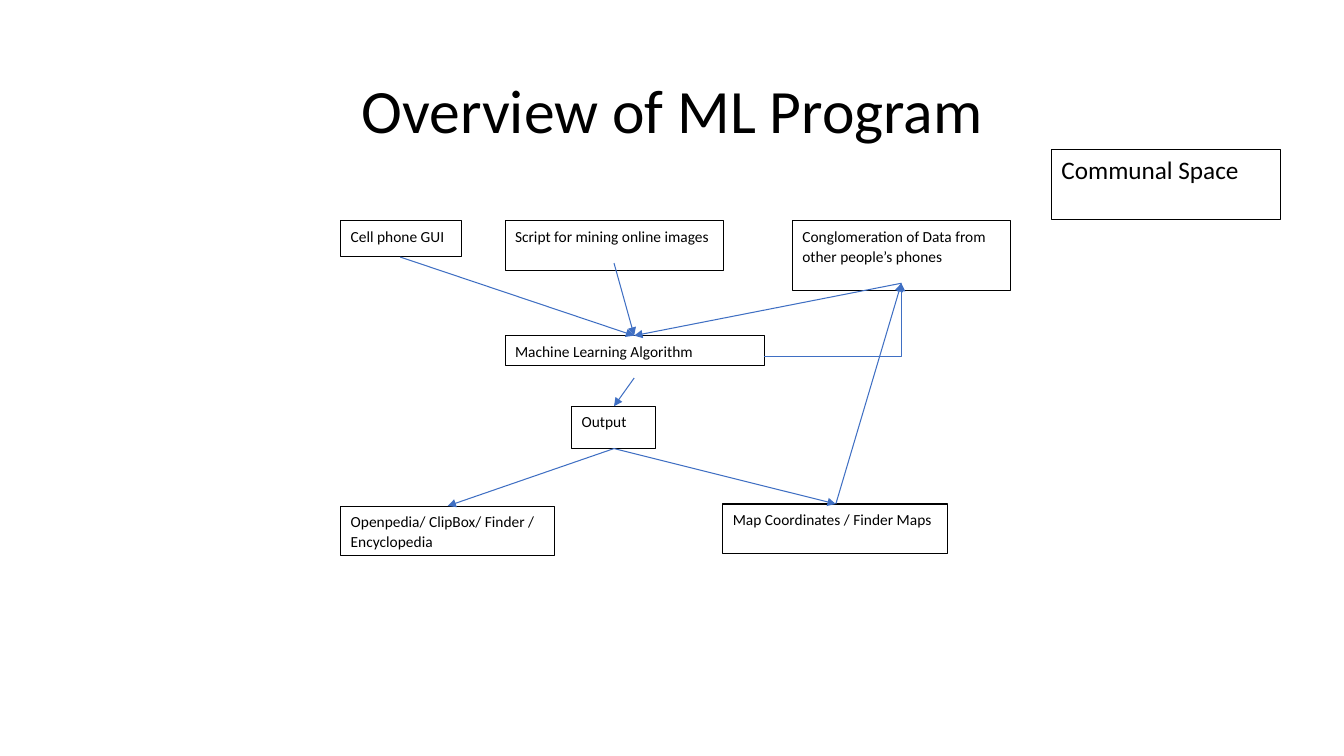
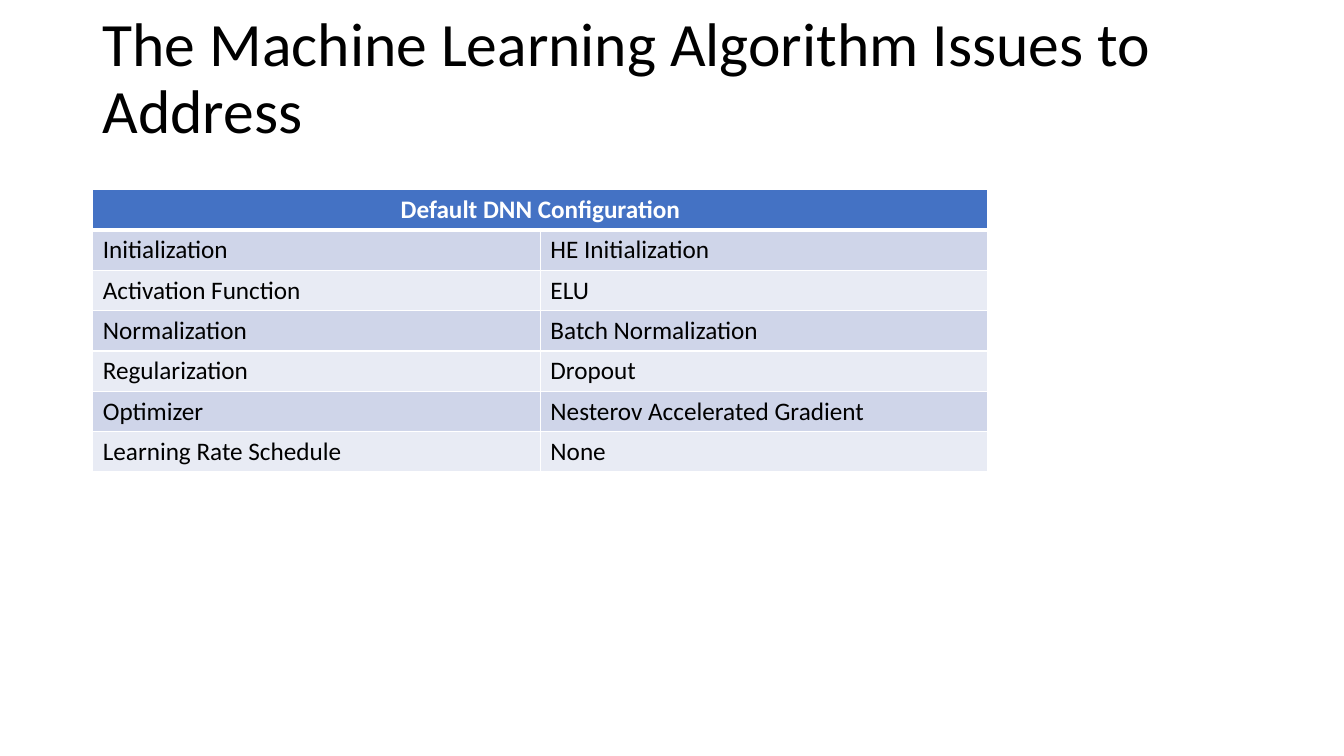
from lxml import etree
from pptx import Presentation
from pptx import util as u
from pptx.dml.color import RGBColor
from pptx.enum import shapes, text
from pptx.oxml.ns import qn

BLACK, WHITE, BLUE, HEAD = "000000", "FFFFFF", "3F6FC3", "4472C4"
BANDS = ["CFD5E9", "E8EBF4"]
LEFT, MID = text.PP_ALIGN.LEFT, text.PP_ALIGN.CENTER
TITLE = [u.Inches(v) for v in (0.92, 0.4, 11.5, 1.45)]


def rgb(code):
    return RGBColor.from_string(code)


def write(frame, words, size=18, color=BLACK, bold=False, align=LEFT,
          space=1.0, after=0, anchor=text.MSO_ANCHOR.TOP):
    frame.word_wrap = True
    frame.vertical_anchor = anchor
    par = frame.paragraphs[0]
    par.alignment = align
    par.line_spacing = space
    par.space_after = u.Pt(after)
    run = par.add_run()
    run.text = words
    run.font.name = "Calibri"
    run.font.size = u.Pt(size)
    run.font.bold = bold
    run.font.color.rgb = rgb(color)


deck = Presentation()
deck.slide_width, deck.slide_height = u.Inches(13.33), u.Inches(7.5)
frames = []
for words, align in [
    ("Overview of ML Program", MID),
    ("The Machine Learning Algorithm Issues to Address", LEFT),
]:
    slide = deck.slides.add_slide(deck.slide_layouts[6])
    frame = slide.shapes.add_textbox(*TITLE).text_frame
    write(frame, words, size=44, align=align, space=0.9,
          anchor=text.MSO_ANCHOR.MIDDLE)
    frames.append(frame)
frames[1].margin_bottom = u.Inches(0.71)
flow, setup = deck.slides

small = dict(size=11, space=1.07, after=8)
boxes = [
    ("Cell phone GUI", 3.38, 2.19, 1.2, 0.36, small),
    ("Script for mining online images", 5.01, 2.19, 2.17, 0.49, small),
    ("Conglomeration of Data from other people’s phones",
     7.86, 2.19, 2.16, 0.69, small),
    ("Machine Learning Algorithm", 5.01, 3.33, 2.57, 0.3, small),
    ("Output", 5.67, 4.03, 0.83, 0.42, small),
    ("Openpedia/ ClipBox/ Finder / Encyclopedia",
     3.38, 5.02, 2.12, 0.49, small),
    ("Map Coordinates / Finder Maps", 7.17, 5, 2.23, 0.49, small),
    ("Communal Space", 10.43, 1.48, 2.27, 0.7, {}),
]
for words, x, y, w, h, style in boxes:
    box = flow.shapes.add_shape(
        shapes.MSO_SHAPE.RECTANGLE, *[u.Inches(v) for v in (x, y, w, h)])
    box.shadow.inherit = False
    box.fill.solid()
    box.fill.fore_color.rgb = rgb(WHITE)
    box.line.color.rgb = rgb(BLACK)
    box.line.width = u.Pt(0.75)
    write(box.text_frame, words, **style)

phone, script, data = (3.97, 2.55), (6.09, 2.61), (8.94, 2.81)
model, side, base = (6.29, 3.33), (7.58, 3.54), (6.29, 3.75)
top, out = (6.09, 4.03), (6.09, 4.45)
wiki, maps = (4.44, 5.02), (8.29, 5)
links = [(phone, model), (script, model), (data, model), (base, top),
         (out, wiki), (out, maps), (maps, data), (side, data)]
for start, end in links:
    bent = start == side
    kind = shapes.MSO_CONNECTOR.ELBOW if bent else shapes.MSO_CONNECTOR.STRAIGHT
    link = flow.shapes.add_connector(
        kind, *[u.Inches(v) for v in start + end])
    link.line.color.rgb = rgb(BLUE)
    link.line.width = u.Pt(0.75)
    props = link._element.spPr
    if bent:
        props.find(qn("a:prstGeom")).set("prst", "bentConnector2")
    etree.SubElement(props.find(qn("a:ln")), qn("a:tailEnd"), type="triangle")
    etree.SubElement(props, qn("a:effectLst"))

rows = [
    ("Default DNN Configuration", ""),
    ("Initialization", "HE Initialization"),
    ("Activation Function", "ELU"),
    ("Normalization", "Batch Normalization"),
    ("Regularization", "Dropout"),
    ("Optimizer", "Nesterov Accelerated Gradient"),
    ("Learning Rate Schedule", "None"),
]
grid = setup.shapes.add_table(
    len(rows), 2, *[u.Inches(v) for v in (0.92, 1.88, 8.88, 0.39 * len(rows))]
).table
grid.cell(0, 0).merge(grid.cell(0, 1))
for r, row in enumerate(rows):
    for c, words in enumerate(row):
        cell = grid.cell(r, c)
        props = cell._tc.get_or_add_tcPr()
        for edge in "LRTB":
            thick = (r, edge) in [(0, "B"), (1, "T")]
            line = etree.SubElement(
                props, qn("a:ln" + edge), w=str(u.Pt(3 if thick else 1)))
            fill = etree.SubElement(line, qn("a:solidFill"))
            etree.SubElement(fill, qn("a:srgbClr"), val=WHITE)
        cell.fill.solid()
        cell.fill.fore_color.rgb = rgb(BANDS[(r - 1) % 2] if r else HEAD)
        if r:
            write(cell.text_frame, words)
        elif words:
            write(cell.text_frame, words, color=WHITE, bold=True, align=MID)

deck.save("out.pptx")
